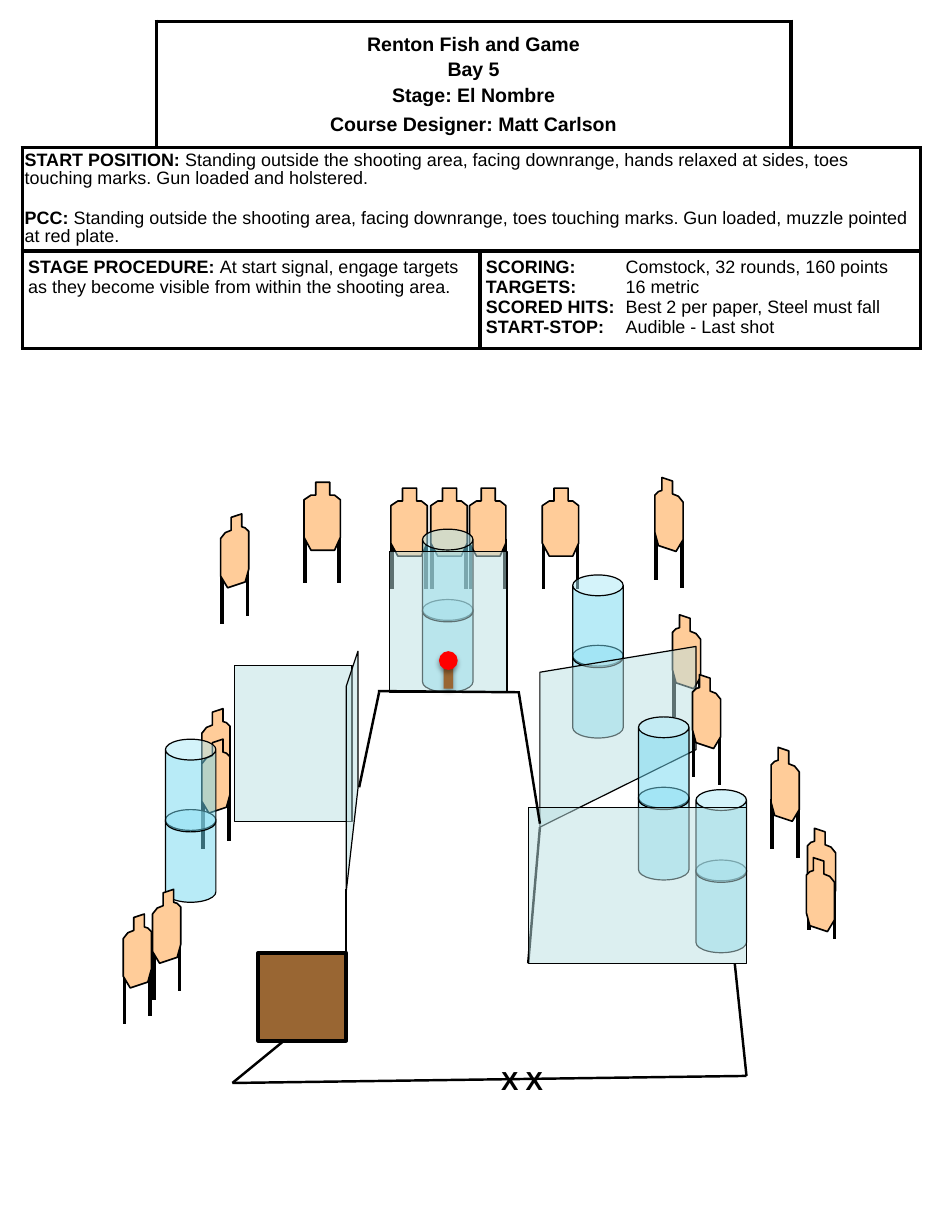
from lxml import etree
from pptx import Presentation
from pptx.dml.color import RGBColor
from pptx.enum.shapes import MSO_CONNECTOR, MSO_SHAPE
from pptx.enum.text import MSO_ANCHOR, PP_ALIGN
from pptx.oxml.ns import qn
from pptx.util import Emu, Inches, Pt

STRAIGHT = MSO_CONNECTOR.STRAIGHT
RECT, CAN, OVAL = MSO_SHAPE.RECTANGLE, MSO_SHAPE.CAN, MSO_SHAPE.OVAL
CENTER, LEFT = PP_ALIGN.CENTER, PP_ALIGN.LEFT
MIDDLE, TOP = MSO_ANCHOR.MIDDLE, MSO_ANCHOR.TOP

COLORS = {"ink": "000000", "paper": "FFFFFF", "target": "FFCC99", "barrel": "73D9F1",
          "panel": "BBE0E3", "wood": "996633", "plate": "FF0000"}
FONT = "Arial"

FRONT_OUTLINE = [(.10, 0), (.22, 0), (.22, .11), (.26, .11), (.31, .15), (.31, .47), (.26, .58),
                 (.06, .58), (0, .47), (0, .15), (.06, .11), (.10, .11)]
FRONT_LEGS = [(.01, .43), (.30, .43)]
ANGLED_WIDTH = .24
RIGHT_OUTLINE = [(.15, .03), (.06, 0), (.06, .11), (.03, .12), (0, .15), (0, .47), (.03, .58),
                 (.18, .63), (.24, .53), (.24, .21), (.20, .16), (.15, .14)]
RIGHT_LEGS = [(.23, .51), (.01, .44)]


def mirror(points):
    return [(ANGLED_WIDTH - x, y) for x, y in points]


TARGETS = {"front": (FRONT_OUTLINE, FRONT_LEGS),
           "right": (RIGHT_OUTLINE, RIGHT_LEGS),
           "left": (mirror(RIGHT_OUTLINE), mirror(RIGHT_LEGS))}


def rgb(name):
    return RGBColor.from_string(COLORS[name])


def write(frame, paragraphs, size=11, align=LEFT, before=(), spacing=None, tab=None):
    for index, runs in enumerate(paragraphs):
        paragraph = frame.paragraphs[0] if index == 0 else frame.add_paragraph()
        if tab:
            stops = etree.SubElement(paragraph._p.get_or_add_pPr(), qn("a:tabLst"))
            etree.SubElement(stops, qn("a:tab"), pos=str(Inches(tab)), algn="l")
        paragraph.alignment = align
        if spacing:
            paragraph.line_spacing = spacing
        if index and before:
            paragraph.space_before = Pt(before[index - 1])
        for words, bold in runs:
            run = paragraph.add_run()
            run.text = words
            run.font.name, run.font.size, run.font.bold = FONT, Pt(size), bold
            run.font.color.rgb = rgb("ink")


def paint(shape, fill, width=None, alpha=None):
    shape.shadow.inherit = False
    shape.fill.solid()
    shape.fill.fore_color.rgb = rgb(fill)
    if alpha:
        color = shape._element.spPr.find(qn("a:solidFill"))[0]
        etree.SubElement(color, qn("a:alpha"), val=str(alpha * 1000))
    if width:
        shape.line.color.rgb = rgb("ink")
        shape.line.width = Pt(width)
    else:
        shape.line.fill.background()


def block(shapes, kind, box, fill, width=None, alpha=None):
    shape = shapes.add_shape(kind, *map(Inches, box))
    paint(shape, fill, width, alpha)
    return shape


def line(shapes, start, end, width=1.5):
    rule = shapes.add_connector(STRAIGHT, *map(Inches, (*start, *end)))
    rule.line.color.rgb = rgb("ink")
    rule.line.width = Pt(width)
    etree.SubElement(rule._element.spPr, qn("a:effectLst"))


def polygon(shapes, points, fill, width, alpha=None):
    corners = [(Inches(x), Inches(y)) for x, y in points]
    builder = shapes.build_freeform(*corners[0])
    builder.add_line_segments(corners[1:], close=True)
    paint(builder.convert_to_shape(), fill, width, alpha)


def target(slide, left, top, facing, legs=True):
    shapes = slide.shapes.add_group_shape().shapes
    outline, feet = TARGETS[facing]
    if legs:
        for x, y in feet:
            line(shapes, (left + x, top + y), (left + x, top + y + .43), 2.25)
    polygon(shapes, [(left + x, top + y) for x, y in outline], "target", 1)


def barrels(slide, left, top):
    shapes = slide.shapes.add_group_shape().shapes
    for drop in (.6, 0):
        can = block(shapes, CAN, (left, top + drop, .43, .79), "barrel", .75, 50)
        can.adjustments[0] = .413


def panel(slide, left, top, width, height):
    block(slide.shapes, RECT, (left, top, width, height), "panel", .75, 50)


def popper(slide, left, top):
    shapes = slide.shapes.add_group_shape().shapes
    stand = block(shapes, RECT, (left + .04, top + .1, .08, .22), "wood")
    plate = block(shapes, OVAL, (left, top, .16, .16), "plate")
    for part in (stand, plate):
        effects = part._element.spPr.find(qn("a:effectLst"))
        shadow = etree.SubElement(effects, qn("a:outerShdw"), blurRad=str(Pt(3.1)),
                                  dist=str(Pt(1.8)), dir="5400000", rotWithShape="0")
        color = etree.SubElement(shadow, qn("a:srgbClr"), val=COLORS["ink"])
        etree.SubElement(color, qn("a:alpha"), val="35000")


def frame_cell(cell, sides):
    properties = cell._tc.get_or_add_tcPr()
    for side in "LRTB":
        edge = etree.SubElement(properties, qn(f"a:ln{side}"), w=str(Pt(2.25)))
        if side in sides:
            ink = etree.SubElement(edge, qn("a:solidFill"))
            etree.SubElement(ink, qn("a:srgbClr"), val=COLORS["ink"])
        else:
            etree.SubElement(edge, qn("a:noFill"))
    cell.fill.solid()
    cell.fill.fore_color.rgb = rgb("paper")


def fill_cell(cell, paragraphs, inset=(.05, .05), anchor=TOP, **style):
    cell.margin_left = cell.margin_right = Inches(inset[0])
    cell.margin_top = cell.margin_bottom = Inches(inset[1])
    cell.vertical_anchor = anchor
    write(cell.text_frame, paragraphs, **style)


def stage_brief(slide, left, top):
    widths, heights = (1.14, 2.76, 2.65, 1.1), (1.08, .87, .83)
    box = map(Inches, (left, top, sum(widths), sum(heights)))
    table = slide.shapes.add_table(len(heights), len(widths), *box).table
    table.first_row = table.horz_banding = False
    for column, width in zip(table.columns, widths):
        column.width = Inches(width)
    for row, height in zip(table.rows, heights):
        row.height = Inches(height)
    corners = {(0, 0): "RB", (0, 3): "LB"}
    for r in range(len(heights)):
        for c in range(len(widths)):
            frame_cell(table.cell(r, c), corners.get((r, c), "LRTB"))
    for start, end in (((0, 1), (0, 2)), ((1, 0), (1, 3)), ((2, 0), (2, 1)), ((2, 2), (2, 3))):
        table.cell(*start).merge(table.cell(*end))

    titles = ("Renton Fish and Game", "Bay 5", "Stage: El Nombre", "Course Designer: Matt Carlson")
    fill_cell(table.cell(0, 1), [[(title, True)] for title in titles], anchor=MIDDLE,
              size=12, align=CENTER, before=(2.4, 2.4, 4.2))
    fill_cell(table.cell(1, 0), [
        [("START POSITION:", True), (" Standing outside the shooting area, facing downrange, hands "
          "relaxed at sides, toes touching marks. Gun loaded and holstered.", False)],
        [("PCC:", True), (" Standing outside the shooting area, facing downrange, toes touching "
          "marks. Gun loaded, muzzle pointed at red plate.", False)],
    ], inset=(.02, .04), spacing=.9, before=(13.5,))
    fill_cell(table.cell(2, 0), [
        [("STAGE PROCEDURE: ", True), ("At start signal, engage targets as they become visible "
          "from within the shooting area.", False)]])
    scoring = {"SCORING:": "Comstock, 32 rounds, 160 points", "TARGETS:": "16 metric",
               "SCORED HITS:": "Best 2 per paper, Steel must fall",
               "START-STOP:": "Audible - Last shot"}
    fill_cell(table.cell(2, 2), [[(label, True), ("\t" + value, False)]
                                 for label, value in scoring.items()], tab=1.19)


def right_side(slide, x, y):
    target(slide, x + .62, y + .16, "front")
    barrels(slide, x + .88, y + .9)
    target(slide, x + 1.73, y + 1.24, "right")
    line(slide.shapes, (x + .6, y + 3.05), (x + .5, y + 4.21))
    slanted = [(1.93, 2.39), (.6, 3.05), (.6, 1.73), (1.93, 1.51)]
    polygon(slide.shapes, [(x + a, y + b) for a, b in slanted], "panel", .75, 50)
    target(slide, x + 1.9, y + 1.75, "right")
    barrels(slide, x + 1.44, y + 2.11)
    barrels(slide, x + 1.93, y + 2.73)
    panel(slide, x + .5, y + 2.88, 1.86, 1.33)
    for a, b in ((2.88, 3.06), (2.57, 2.37), (1.58, .07)):
        target(slide, x + a, y + b, "right")
    target(slide, x + 2.87, y + 3.31, "right", legs=False)
    line(slide.shapes, (x + 2.26, y + 4.21), (x + 2.36, y + 5.17))


def start_area(slide, x, y):
    block(slide.shapes, RECT, (x + .2, y + .12, .75, .75), "wood", 2.25)
    marks = slide.shapes.add_textbox(*map(Inches, (x + 2.17, y + 1.02, .58, .37)))
    marks.text_frame.word_wrap = False
    write(marks.text_frame, [[("X X", True)]], size=16)
    for start, end in (((-.02, 1.23), (.42, .87)), ((4.36, 1.17), (-.02, 1.23)),
                       ((.95, -.42), (.95, .12))):
        line(slide.shapes, (x + start[0], y + start[1]), (x + end[0], y + end[1]))


def left_side(slide, x, y):
    target(slide, x + .72, y + 2.04, "left", legs=False)
    target(slide, x + .72, y + 2.3, "left")
    barrels(slide, x + .41, y + 2.3)
    panel(slide, x + 1, y + 1.67, 1, 1.33)
    edge_on = [(2.05, 2.72), (1.95, 3.6), (1.95, 1.85), (2.05, 1.55)]
    polygon(slide.shapes, [(x + a, y + b) for a, b in edge_on], "panel", .75, 50)
    for a, b in ((.88, .38), (.05, 3.79), (.3, 3.58)):
        target(slide, x + a, y + b, "left")
    target(slide, x + 1.59, y + .11, "front")


def center(slide, x, y):
    for a in (.67, 1, .33):
        target(slide, x + a, y + .16, "front")
    barrels(slide, x + .6, y + .51)
    panel(slide, x + .32, y + .7, 1, 1.2)
    for start, end in (((.23, 1.9), (.06, 2.71)), ((1.42, 1.9), (1.6, 3.02)),
                       ((.22, 1.89), (1.43, 1.9))):
        line(slide.shapes, (x + start[0], y + start[1]), (x + end[0], y + end[1]))
    popper(slide, x + .74, y + 1.55)


def main():
    deck = Presentation()
    deck.slide_width, deck.slide_height = Emu(Inches(8)), Emu(Inches(10.5))
    slide = deck.slides.add_slide(deck.slide_layouts[6])
    right_side(slide, 4, 4)
    stage_brief(slide, .19, .18)
    start_area(slide, 2, 8)
    left_side(slide, 1, 4)
    center(slide, 3, 4)
    deck.save("out.pptx")


if __name__ == "__main__":
    main()
